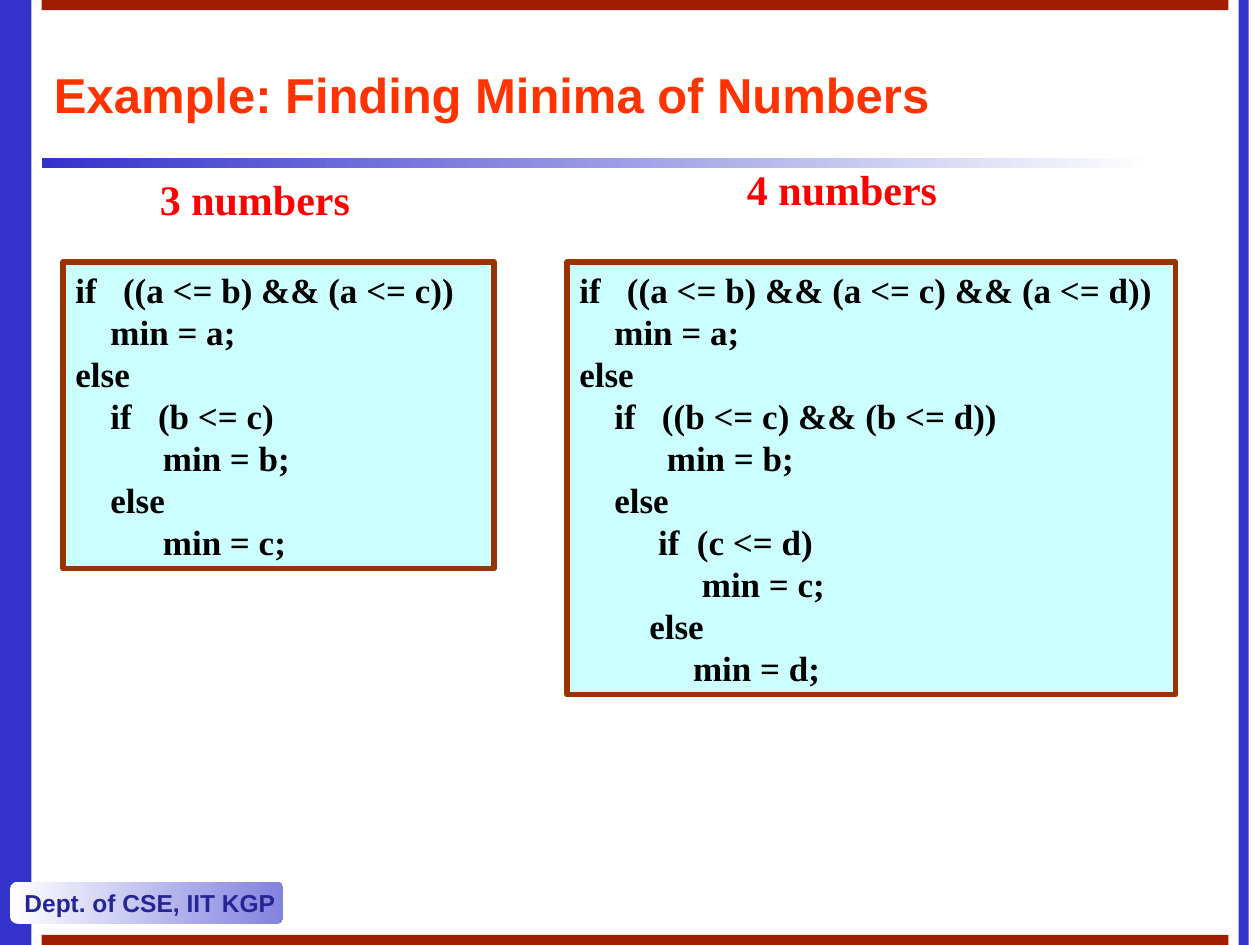
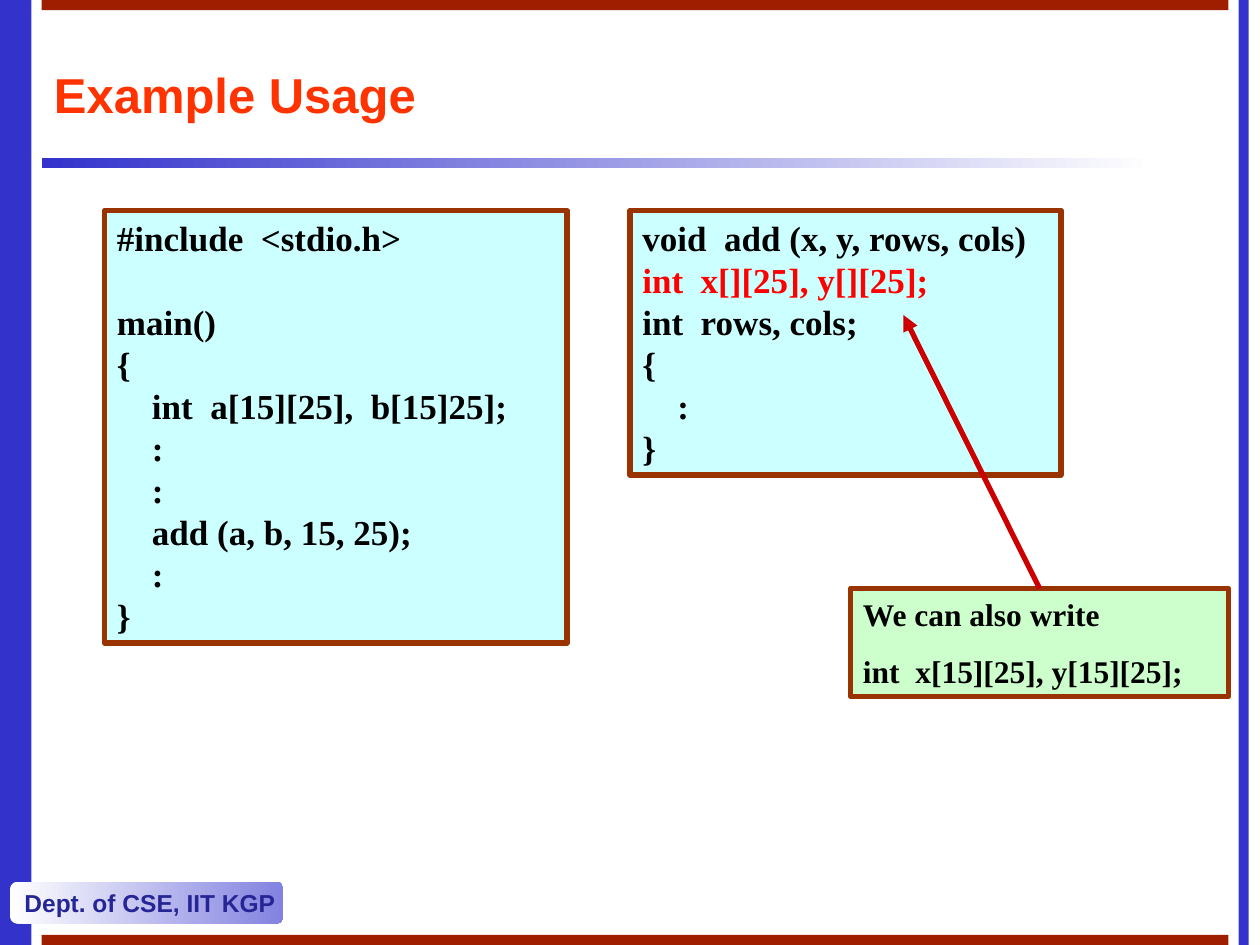
import pptx
import pptx.dml.color
import pptx.enum.shapes
import pptx.enum.text
import pptx.oxml.ns
import pptx.util
from dataclasses import dataclass
from lxml import etree
from pptx.util import Inches


# Content: code lines, None marks an empty line
THREE_NUMBERS = """\
if   ((a <= b) && (a <= c))
    min = a;
else
    if   (b <= c)
          min = b;
    else
          min = c;"""

FOUR_NUMBERS = """\
if   ((a <= b) && (a <= c) && (a <= d))
    min = a;
else
    if   ((b <= c) && (b <= d))
          min = b;
    else
         if  (c <= d)
              min = c;
        else
             min = d;"""

MAIN_PROGRAM = """\
#include  <stdio.h>

main()
{
    int  a[15][25],  b[15]25];
    :
    :
    add (a, b, 15, 25);
    :
}"""

ADD_FUNCTION = """\
void  add (x, y, rows, cols)
int  x[][25], y[][25];
int  rows, cols;
{
    :
}"""

# Positions are (left, top, width) in inches; heights follow from the text
SLIDES = [
    {
        "title": "Example: Finding Minima of Numbers",
        "code": [((0.5, 2.08, 3.42), THREE_NUMBERS),
                 ((4.5, 2.08, 4.83), FOUR_NUMBERS)],
        "labels": [((1.17, 1.33, 2.33), "3 numbers"),
                   ((5.83, 1.25, 2.33), "4 numbers")],
    },
    {
        "title": "Example Usage",
        "code": [((0.83, 1.67, 3.67), MAIN_PROGRAM),
                 ((5, 1.67, 3.42), ADD_FUNCTION)],
        "highlight": "int  x[][25], y[][25];",
        "note": ((6.75, 4.67, 3), "We can also write\nint  x[15][25], y[15][25];"),
        "arrow": ((8.25, 4.67), (7.17, 2.5)),
    },
]
FOOTER = "Dept. of CSE, IIT KGP"


@dataclass(frozen=True)
class Theme:
    blue: str = "3333CC"
    light_blue: str = "8282E0"
    footer_text: str = "252595"
    dark_red: str = "A01E00"
    white: str = "FFFFFF"
    black: str = "000000"
    red: str = "FF0000"
    title: str = "FF3300"
    code_fill: str = "CCFFFF"
    note_fill: str = "CCFFCC"
    border: str = "993300"
    arrow: str = "CC0000"
    heading_font: str = "Arial"
    body_font: str = "Times New Roman"
    title_size: int = 28
    label_size: int = 24
    code_size: int = 20
    note_size: int = 18
    footer_size: int = 14
    line_width: int = 3
    line_factor: float = 1.2
    note_gap: float = 11.2


THEME = Theme()
RECTANGLE = pptx.enum.shapes.MSO_SHAPE.RECTANGLE
ROUNDED = pptx.enum.shapes.MSO_SHAPE.ROUNDED_RECTANGLE


def rgb(value):
    return pptx.dml.color.RGBColor.from_string(value)


def add_panel(slide, box, fill, kind=RECTANGLE, border=None):
    """Add a shape; a pair of fill colours makes a left-to-right gradient."""
    shape = slide.shapes.add_shape(kind, *map(Inches, box))
    shape.shadow.inherit = False
    if isinstance(fill, tuple):
        shape.fill.gradient()
        shape.fill.gradient_angle = 0
        for stop, color in zip(shape.fill.gradient_stops, fill):
            stop.color.rgb = rgb(color)
    else:
        shape.fill.solid()
        shape.fill.fore_color.rgb = rgb(fill)
    if border:
        shape.line.color.rgb = rgb(border)
        shape.line.width = pptx.util.Pt(THEME.line_width)
    else:
        shape.line.fill.background()
    return shape


def write_lines(shape, text, size, color, font, middle=False, wrap=True,
                gap=0, line_factor=None, highlight=None):
    frame = shape.text_frame
    frame.word_wrap = wrap
    anchor = pptx.enum.text.MSO_ANCHOR
    frame.vertical_anchor = anchor.MIDDLE if middle else anchor.TOP
    space = 0
    paragraph = frame.paragraphs[0]
    for number, line in enumerate(text.split("\n")):
        if not line:
            space += size * line_factor
            continue
        if number:
            paragraph = frame.add_paragraph()
            paragraph.space_before = pptx.util.Pt(space + gap)
        space = 0
        paragraph.text = line
        paragraph.alignment = pptx.enum.text.PP_ALIGN.LEFT
        if line_factor:
            paragraph.line_spacing = pptx.util.Pt(size * line_factor)
        paragraph.font.name = font
        paragraph.font.size = pptx.util.Pt(size)
        paragraph.font.bold = True
        paragraph.font.color.rgb = rgb(THEME.red if line == highlight else color)


def text_height(text, size, gap=0):
    """Height in inches of the lines plus the top and bottom insets."""
    breaks = text.count("\n")
    return ((breaks + 1) * size * THEME.line_factor + breaks * gap) / 72 + 0.1


def add_boxed_text(slide, place, text, size, fill, gap=0, highlight=None):
    box = (*place, text_height(text, size, gap))
    shape = add_panel(slide, box, fill, border=THEME.border)
    write_lines(shape, text, size, THEME.black, THEME.body_font, gap=gap,
                line_factor=THEME.line_factor, highlight=highlight)


def add_label(slide, place, text):
    shape = slide.shapes.add_textbox(*map(Inches, (*place, 0.5)))
    write_lines(shape, text, THEME.label_size, THEME.red, THEME.body_font,
                line_factor=THEME.line_factor)


def add_arrow(slide, start, end):
    connector = slide.shapes.add_connector(
        pptx.enum.shapes.MSO_CONNECTOR.STRAIGHT, *map(Inches, (*start, *end)))
    connector.line.color.rgb = rgb(THEME.arrow)
    connector.line.width = pptx.util.Pt(THEME.line_width)
    qualified = pptx.oxml.ns.qn
    line = connector.line._get_or_add_ln()
    etree.SubElement(line, qualified("a:tailEnd"), type="triangle")
    etree.SubElement(connector._element.spPr, qualified("a:effectLst"))


def add_frame(slide, title):
    """Draw the side bands, rules, footer and title shared by all slides."""
    for left, width in ((0, 0.25), (9.83, 0.08)):
        add_panel(slide, (left, 0, width, 7.5), THEME.blue)
    for top in (0, 7.42):
        add_panel(slide, (0.33, top, 9.42, 0.08), THEME.dark_red)
    add_panel(slide, (0.33, 1.25, 8.83, 0.08), (THEME.blue, THEME.white))
    footer = add_panel(slide, (0.08, 7, 2.17, 0.33),
                       (THEME.white, THEME.light_blue), ROUNDED)
    write_lines(footer, FOOTER, THEME.footer_size, THEME.footer_text,
                THEME.heading_font, middle=True, wrap=False)
    heading = slide.shapes.add_textbox(*map(Inches, (0.33, 0.33, 9.42, 0.83)))
    write_lines(heading, title, THEME.title_size, THEME.title,
                THEME.heading_font, middle=True)


def main():
    presentation = pptx.Presentation()
    presentation.slide_width = Inches(10)
    presentation.slide_height = Inches(7.5)
    for content in SLIDES:
        slide = presentation.slides.add_slide(presentation.slide_layouts[6])
        add_frame(slide, content["title"])
        for place, code in content["code"]:
            add_boxed_text(slide, place, code, THEME.code_size, THEME.code_fill,
                           highlight=content.get("highlight"))
        for place, label in content.get("labels", []):
            add_label(slide, place, label)
        if "note" in content:
            add_boxed_text(slide, *content["note"], THEME.note_size,
                           THEME.note_fill, gap=THEME.note_gap)
        if "arrow" in content:
            add_arrow(slide, *content["arrow"])
    presentation.save("out.pptx")


if __name__ == "__main__":
    main()
